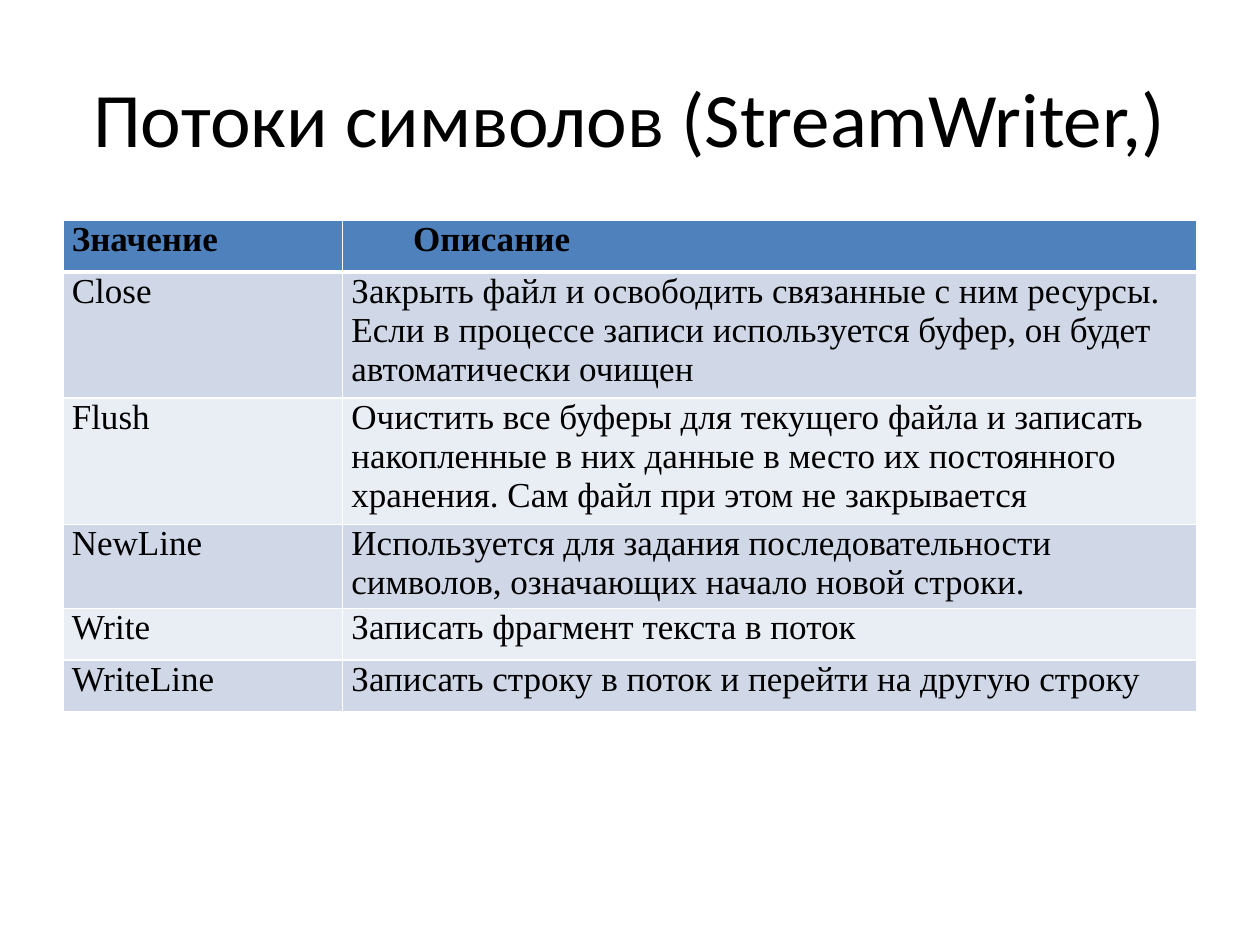
from dataclasses import dataclass

from lxml.etree import SubElement
from pptx import Presentation
from pptx.dml.color import RGBColor
from pptx.enum.text import MSO_ANCHOR as Anchor, PP_ALIGN as Align
from pptx.oxml.ns import qn
from pptx.util import Inches, Pt

# Content
TITLE = "Потоки символов (StreamWriter,)"
HEADER = ("Значение", "Описание")
METHODS = [
    ("Close", "Закрыть файл и освободить связанные с ним ресурсы. "
              "Если в процессе записи используется буфер, он будет автоматически очищен"),
    ("Flush", "Очистить все буферы для текущего файла и записать накопленные в них данные "
              "в место их постоянного хранения. Сам файл при этом не закрывается"),
    ("NewLine", "Используется для задания последовательности символов, "
                "означающих начало новой строки."),
    ("Write", "Записать фрагмент текста в поток"),
    ("WriteLinе", "Записать строку в поток и перейти на другую строку"),
]
COLUMN_WIDTHS = (2.22, 6.78)
ROW_HEIGHT = 0.41  # rows with longer text grow to fit
LEFT, WIDTH = 0.5, 9


@dataclass(frozen=True)
class Theme:
    title_font: str = "Calibri"
    table_font: str = "Times New Roman"
    title_size: int = 44
    table_size: int = 20
    text: str = "000000"
    header: str = "4F81BD"
    bands: tuple = ("D0D8E8", "E9EDF4")
    border: str = "FFFFFF"
    thin: int = 1
    thick: int = 3


THEME = Theme()


def add_text(para, text, font, size, bold=False):
    span = para.add_run()
    span.text = text
    span.font.name = font
    span.font.size = Pt(size)
    span.font.bold = bold
    span.font.color.rgb = RGBColor.from_string(THEME.text)


def set_borders(cell, row):
    properties = cell._tc.get_or_add_tcPr()
    # The heavy rule lies between the header and the first method
    heavy_side = {0: "B", 1: "T"}.get(row)
    for side in "LRTB":
        width = THEME.thick if side == heavy_side else THEME.thin
        line = SubElement(properties, qn(f"a:ln{side}"), w=str(Pt(width)))
        fill = SubElement(line, qn("a:solidFill"))
        SubElement(fill, qn("a:srgbClr"), val=THEME.border)


def fill_cell(cell, text, row):
    is_header = row == 0
    cell.margin_left = cell.margin_right = Inches(0.07)
    cell.margin_top = cell.margin_bottom = 0
    set_borders(cell, row)
    color = THEME.header if is_header else THEME.bands[(row - 1) % 2]
    cell.fill.solid()
    cell.fill.fore_color.rgb = RGBColor.from_string(color)
    add_text(cell.text_frame.paragraphs[0], text,
             THEME.table_font, THEME.table_size, is_header)


def add_title(page):
    box = page.shapes.add_textbox(Inches(LEFT), Inches(0.3), Inches(WIDTH), Inches(1.25))
    frame = box.text_frame
    frame.word_wrap = True
    frame.vertical_anchor = Anchor.MIDDLE
    para = frame.paragraphs[0]
    para.alignment = Align.CENTER
    add_text(para, TITLE, THEME.title_font, THEME.title_size)


def add_methods(page):
    rows = [HEADER, *METHODS]
    table = page.shapes.add_table(
        len(rows), len(HEADER), Inches(LEFT), Inches(1.75),
        Inches(WIDTH), Inches(ROW_HEIGHT * len(rows))).table
    for column, width in zip(table.columns, COLUMN_WIDTHS):
        column.width = Inches(width)
    for row, texts in enumerate(rows):
        table.rows[row].height = Inches(ROW_HEIGHT)
        for column, text in enumerate(texts):
            fill_cell(table.cell(row, column), text, row)

    # First-line indent of the description heading
    heading = table.cell(0, 1).text_frame.paragraphs[0]
    heading_properties = heading._p.get_or_add_pPr()
    heading_properties.set("marL", "0")
    heading_properties.set("indent", str(Inches(0.49)))


def main():
    deck = Presentation()
    deck.slide_width, deck.slide_height = Inches(10), Inches(7.5)
    page = deck.slides.add_slide(deck.slide_layouts[6])
    add_title(page)
    add_methods(page)
    deck.save("out.pptx")


if __name__ == "__main__":
    main()
